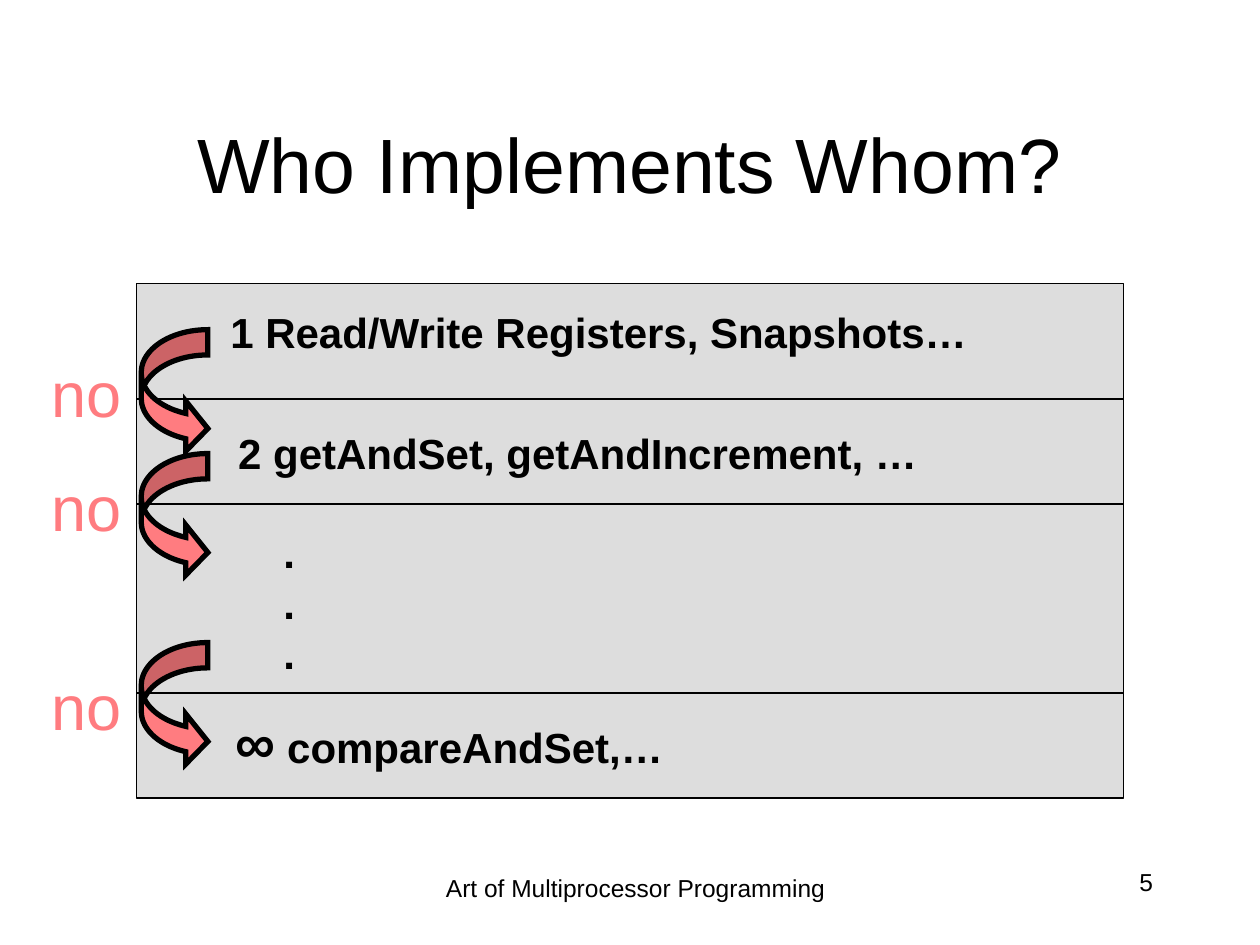
"""Build the slide that asks which consensus level implements which."""
import lxml.etree
import pptx
import pptx.dml.color
import pptx.enum.shapes
import pptx.enum.text
import pptx.oxml.ns
import pptx.util

BLACK = pptx.dml.color.RGBColor(0x00, 0x00, 0x00)
GREY = pptx.dml.color.RGBColor(0xDD, 0xDD, 0xDD)
PINK = pptx.dml.color.RGBColor(0xFF, 0x7C, 0x80)
ALIGN = pptx.enum.text.PP_ALIGN
ANCHOR = pptx.enum.text.MSO_ANCHOR
FIT = pptx.enum.text.MSO_AUTO_SIZE
SHAPE = pptx.enum.shapes.MSO_SHAPE

deck = pptx.Presentation()
deck.slide_width = pptx.util.Inches(10)
deck.slide_height = pptx.util.Inches(7.5)
slide = deck.slides.add_slide(deck.slide_layouts[6])
shapes = slide.shapes
COLS = 120


def grid(*cells):
    return [round(cell * deck.slide_width / COLS) for cell in cells]


def write(text, box, size=24, bold=False, color=BLACK, align=ALIGN.LEFT,
          anchor=ANCHOR.TOP, wrap=False, lead=None):
    frame = shapes.add_textbox(*grid(*box)).text_frame
    frame.word_wrap = wrap
    frame.auto_size = FIT.NONE if wrap else FIT.SHAPE_TO_FIT_TEXT
    frame.vertical_anchor = anchor
    for row, line in enumerate(text.split("\n")):
        para = frame.add_paragraph() if row else frame.paragraphs[0]
        para.alignment = align
        parts = [(line, size)]
        if lead:
            parts.insert(0, lead)
        for words, points in parts:
            run = para.add_run()
            run.text = words
            run.font.name = "Arial"
            run.font.size = pptx.util.Pt(points)
            run.font.bold = bold
            run.font.color.rgb = color


write("Who Implements Whom?", (9, 8, 102, 15), size=44,
      align=ALIGN.CENTER, anchor=ANCHOR.MIDDLE, wrap=True)

left, top, width, height = 13, 27, 94, 49
panel = shapes.add_shape(SHAPE.RECTANGLE, *grid(left, top, width, height))
panel.shadow.inherit = False
panel.fill.solid()
panel.fill.fore_color.rgb = GREY
panel.line.color.rgb = BLACK
panel.line.width = pptx.util.Pt(0.75)

for row in (38, 48, 66):
    rule = shapes.add_connector(pptx.enum.shapes.MSO_CONNECTOR.STRAIGHT,
                                *grid(left, row, left + width, row))
    rule.line.color.rgb = BLACK
    rule.line.width = pptx.util.Pt(0.75)
    lxml.etree.SubElement(rule._element.spPr, pptx.oxml.ns.qn("a:effectLst"))

write("1 Read/Write Registers, Snapshots…", (20.75, 28.6, 72.6, 6), bold=True)
write("2 getAndSet, getAndIncrement, …", (21.5, 40.1, 67.1, 6), bold=True)
write(" compareAndSet,…", (21.25, 66.8, 43.1, 7.7), bold=True, lead=("∞", 32))
write(".\n.\n.", (25.8, 49.6, 3.5, 15.6), bold=True)

for tip, label in ((31.4, 33.2), (43.2, 44), (61.2, 62.95)):
    arrow = shapes.add_shape(SHAPE.CURVED_RIGHT_ARROW,
                             *grid(13.45, tip, 6.35, 11.8))
    arrow.shadow.inherit = False
    for index, share in enumerate((0.38, 0.75, 0.33)):
        arrow.adjustments[index] = share
    arrow.fill.solid()
    arrow.fill.fore_color.rgb = PINK
    arrow.line.color.rgb = BLACK
    arrow.line.width = pptx.util.Pt(3)
    edge = arrow._element.spPr.find(pptx.oxml.ns.qn("a:ln"))
    lxml.etree.SubElement(edge, pptx.oxml.ns.qn("a:miter"), lim="800000")
    write("no", (3.2, label, 10, 8.4), size=36, color=PINK, align=ALIGN.CENTER)

write("5", (86, 82, 25, 6), size=14, align=ALIGN.RIGHT, wrap=True)
write("Art of Multiprocessor Programming", (38.7, 82.6, 43.7, 6), size=14,
      align=ALIGN.CENTER, wrap=True)

deck.save("out.pptx")
